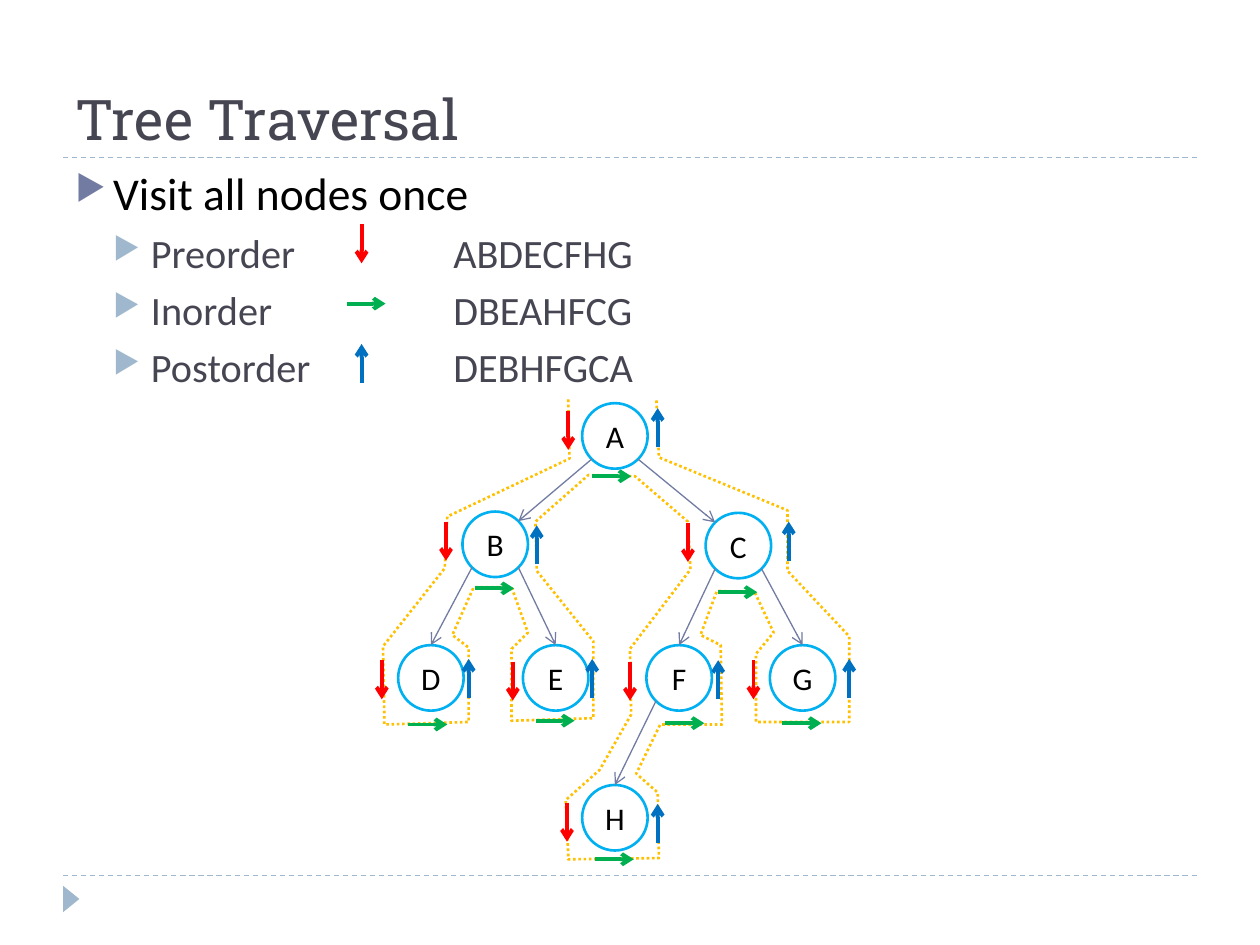
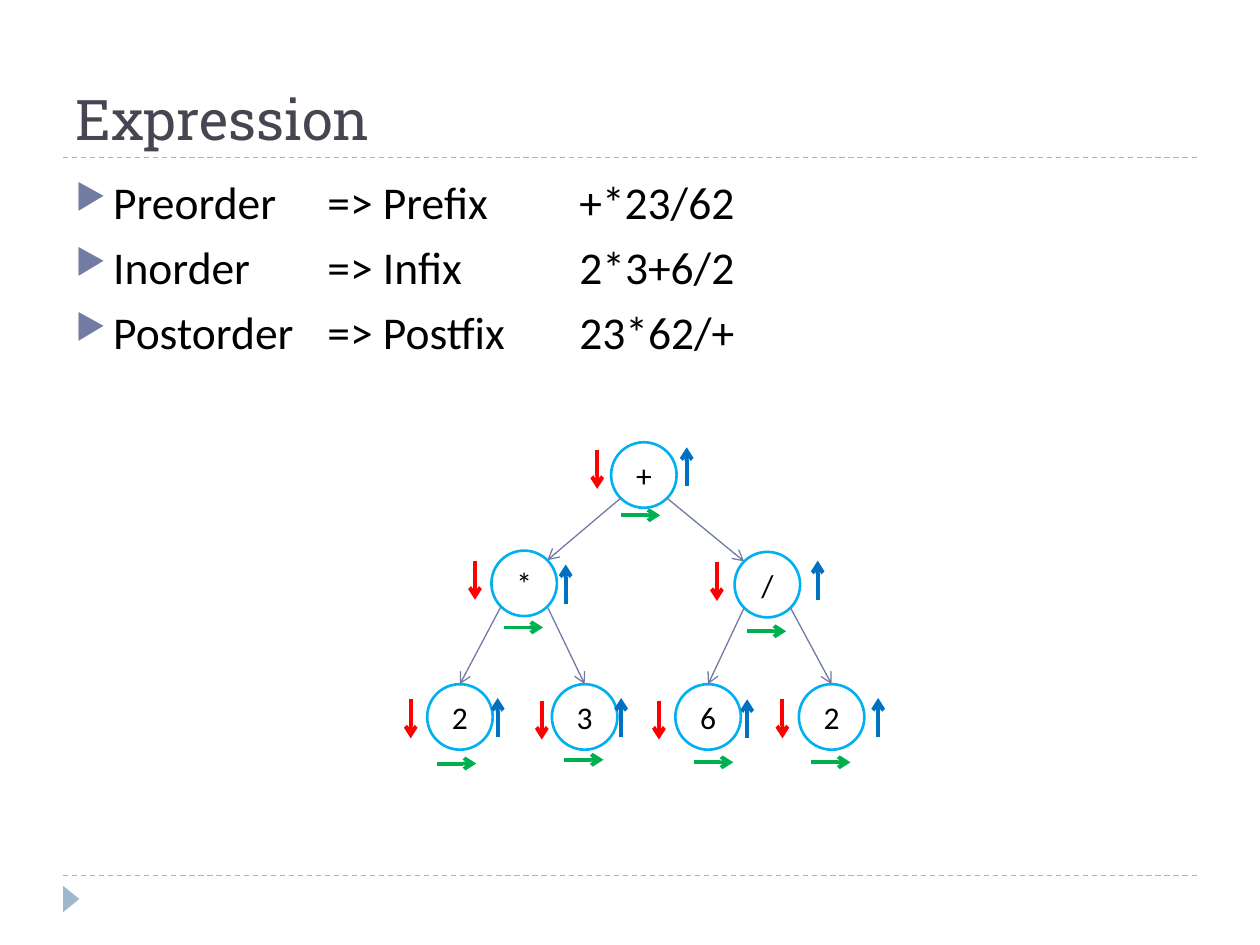
import pptx
import pptx.util
import pptx.dml.color
import pptx.enum.dml
import pptx.enum.shapes
import pptx.enum.text
import pptx.oxml
import pptx.oxml.ns
from lxml import etree

Inches = pptx.util.Inches
Pt = pptx.util.Pt
SHAPE = pptx.enum.shapes.MSO_SHAPE
DASH = pptx.enum.dml.MSO_LINE
ANCHOR = pptx.enum.text.MSO_ANCHOR
ALIGN = pptx.enum.text.PP_ALIGN
qn = pptx.oxml.ns.qn

COLORS = {
    "title": "464653", "text": "000000", "accent": "727CA3", "pale": "9FB8CD",
    "node": "00B0F0", "walk": "FFC000",
    "preorder": "FF0000", "inorder": "00B050", "postorder": "0070C0",
}
BODY_FONT = "Calibri"
TITLE_FONT = "Roboto Slab"

# Outline levels: size, text colour, bullet colour, indent, space before
LEVELS = [
    dict(size=26, color="text", bullet="accent", indent=0.3, before=6),
    dict(size=23, color="title", bullet="pale", indent=0.6, before=5),
]

# Direction in which the walk passes a node on each visit
VISITS = {"preorder": (0, 1), "inorder": (1, 0), "postorder": (0, -1)}
VISIT_LENGTH = 0.31
LEGEND = [(2.87, 1.78), (2.75, 2.41), (2.87, 3.04)]

DIAMETER = 0.52
# Node: top left corner, then where its preorder, inorder, postorder arrows start
TREE = {
    "A": ((4.62, 3.20), [(4.51, 3.26), (4.70, 3.78), (5.22, 3.55)]),
    "B": ((3.67, 4.06), [(3.54, 4.14), (3.77, 4.67), (4.26, 4.48)]),
    "C": ((5.60, 4.07), [(5.46, 4.15), (5.70, 4.70), (6.26, 4.45)]),
    "D": ((3.16, 5.12), [(3.03, 5.24), (3.24, 5.75), (3.72, 5.54)]),
    "E": ((4.15, 5.12), [(4.07, 5.25), (4.25, 5.72), (4.70, 5.54)]),
    "F": ((5.13, 5.12), [(5.00, 5.25), (5.28, 5.74), (5.70, 5.55)]),
    "G": ((6.11, 5.12), [(5.98, 5.24), (6.21, 5.74), (6.74, 5.54)]),
    "H": ((4.62, 6.23), [(4.50, 6.37), (4.72, 6.82), (5.22, 6.69)]),
}
EDGES = ["AB", "BD", "BE", "CF", "CG", "AC", "FH"]

WALK = [
    (4.51, 3.17), (4.52, 3.64), (3.55, 4.10), (3.53, 4.51), (3.04, 5.13),
    (3.05, 5.65), (3.05, 5.75), (3.72, 5.73), (3.72, 5.14), (3.59, 5.04),
    (3.76, 4.66), (4.06, 4.66), (4.19, 5.02), (4.06, 5.15), (4.06, 5.72),
    (4.71, 5.70), (4.71, 5.09), (4.26, 4.53), (4.25, 4.14), (4.67, 3.77),
    (5.04, 3.78), (5.46, 4.14), (5.48, 4.52), (5.00, 5.15), (5.01, 5.67),
    (4.76, 6.11), (4.49, 6.35), (4.51, 6.77), (4.51, 6.82), (5.23, 6.81),
    (5.22, 6.29), (5.05, 6.14), (5.24, 5.75), (5.73, 5.75), (5.72, 5.12),
    (5.56, 5.04), (5.69, 4.69), (5.99, 4.70), (6.14, 5.02), (6.00, 5.19),
    (6.00, 5.73), (6.74, 5.73), (6.74, 5.05), (6.25, 4.53), (6.25, 4.05),
    (5.23, 3.63), (5.21, 3.17),
]

SLIDES = [
    dict(
        title="Tree Traversal", outline_top=1.26,
        outline=[
            (0, "Visit all nodes once"),
            (1, "Preorder\t\tABDECFHG"),
            (1, "Inorder\t\tDBEAHFCG"),
            (1, "Postorder\t\tDEBHFGCA"),
        ],
        labels={name: name for name in TREE}, shift=(0, 0),
        walk=WALK, legend=LEGEND,
    ),
    dict(
        title="Expression", outline_top=1.33,
        outline=[
            (0, "Preorder\t=> Prefix\t+*23/62"),
            (0, "Inorder\t=> Infix\t2*3+6/2"),
            (0, "Postorder\t=> Postfix\t23*62/+"),
        ],
        labels=dict(zip("ABCDEFG", "+*/2362")), shift=(0.23, 0.31),
        walk=[], legend=[],
    ),
]


def rgb(name):
    return pptx.dml.color.RGBColor.from_string(COLORS[name])


def write(paragraph, text, size=18, color="text", font=BODY_FONT, align=None):
    run = paragraph.add_run()
    run.text = text
    run.font.size = Pt(size)
    run.font.name = font
    run.font.color.rgb = rgb(color)
    paragraph.alignment = align


def text_frame(slide, left, top, width, height, anchor=ANCHOR.TOP):
    box = slide.shapes.add_textbox(*map(Inches, (left, top, width, height)))
    box.text_frame.word_wrap = True
    box.text_frame.vertical_anchor = anchor
    return box.text_frame


def add_bullet(paragraph, indent, color):
    props = paragraph._p.get_or_add_pPr()
    props.set("marL", str(Inches(indent)))
    props.set("indent", str(Inches(-0.3)))
    props.set("defTabSz", str(Inches(1)))
    bullet_color = etree.SubElement(props, qn("a:buClr"))
    etree.SubElement(bullet_color, qn("a:srgbClr"), val=COLORS[color])
    etree.SubElement(props, qn("a:buSzPct"), val="76000")
    etree.SubElement(props, qn("a:buChar"), char="▶")


def draw_line(slide, start, end, color, width=0.75, dash=None, arrow=False):
    line = slide.shapes.add_connector(
        pptx.enum.shapes.MSO_CONNECTOR.STRAIGHT, *map(Inches, (*start, *end)))
    line.line.color.rgb = rgb(color)
    line.line.width = Pt(width)
    if dash:
        line.line.dash_style = dash
    if arrow:
        etree.SubElement(line.line._get_or_add_ln(), qn("a:tailEnd"), type="arrow")
    etree.SubElement(line._element.spPr, qn("a:effectLst"))


def draw_frame(slide, title):
    """Draw the rules, corner mark and title that every slide has."""
    for y in (6.95, 1.25):
        draw_line(slide, (0.5, y), (9.5, y), "pale", dash=DASH.DASH)
    mark = slide.shapes.add_shape(
        SHAPE.ISOSCELES_TRIANGLE, *map(Inches, (0.46, 7.07, 0.21, 0.13)))
    mark.rotation = 90
    mark.shadow.inherit = False
    mark.fill.solid()
    mark.fill.fore_color.rgb = rgb("pale")
    mark.line.fill.background()
    heading = text_frame(slide, 0.5, 0.17, 9, 1.08, ANCHOR.BOTTOM)
    write(heading.paragraphs[0], title, size=32, color="title", font=TITLE_FONT)


def draw_outline(slide, top, items):
    frame = text_frame(slide, 0.5, top, 9, 5.4)
    for index, (level, text) in enumerate(items):
        paragraph = frame.add_paragraph() if index else frame.paragraphs[0]
        style = LEVELS[level]
        paragraph.level = level
        paragraph.space_before = Pt(style["before"])
        add_bullet(paragraph, style["indent"], style["bullet"])
        write(paragraph, text, size=style["size"], color=style["color"])


def draw_node(slide, corner, label):
    node = slide.shapes.add_shape(
        SHAPE.OVAL, *map(Inches, (*corner, DIAMETER, DIAMETER)))
    node.shadow.inherit = False
    node.fill.background()
    node.line.color.rgb = rgb("node")
    node.line.width = Pt(1.5)
    frame = node.text_frame
    frame.margin_left = frame.margin_right = 0
    frame.margin_top = frame.margin_bottom = 0
    frame.vertical_anchor = ANCHOR.MIDDLE
    write(frame.paragraphs[0], label, align=ALIGN.CENTER)


def draw_edge(slide, parent, child, diagonal):
    """Join a parent's lower side to its child's top, or to its upper side if diagonal."""
    radius = DIAMETER / 2
    reach = radius * 0.5 ** 0.5
    side = 1 if child[0] > parent[0] else -1
    start = (parent[0] + radius + side * reach, parent[1] + radius + reach)
    if diagonal:
        end = (child[0] + radius - side * reach, child[1] + radius - reach)
    else:
        end = (child[0] + radius, child[1])
    draw_line(slide, start, end, "accent", arrow=True)


def draw_walk(slide, points):
    corners = [tuple(map(Inches, point)) for point in points]
    builder = slide.shapes.build_freeform(*corners[0])
    builder.add_line_segments(corners[1:], close=False)
    walk = builder.convert_to_shape()
    walk.shadow.inherit = False
    walk.fill.background()
    walk.line.color.rgb = rgb("walk")
    walk.line.width = Pt(1.5)
    walk.line.dash_style = DASH.ROUND_DOT


def draw_visits(slide, starts):
    for (order, (dx, dy)), (x, y) in zip(VISITS.items(), starts):
        end = (x + dx * VISIT_LENGTH, y + dy * VISIT_LENGTH)
        draw_line(slide, (x, y), end, order, width=2.25, arrow=True)


def draw_tree(slide, labels, shift, walk):
    def moved(point):
        return point[0] + shift[0], point[1] + shift[1]

    corners = {name: moved(TREE[name][0]) for name in labels}
    for name, label in labels.items():
        draw_node(slide, corners[name], label)
    for parent, child in EDGES:
        if child in labels:
            draw_edge(slide, corners[parent], corners[child], diagonal=parent == "A")
    if walk:
        draw_walk(slide, walk)
    for name in labels:
        draw_visits(slide, map(moved, TREE[name][1]))


def main():
    deck = pptx.Presentation()
    deck.slide_width = Inches(10)
    deck.slide_height = Inches(7.5)
    for content in SLIDES:
        slide = deck.slides.add_slide(deck.slide_layouts[6])
        draw_frame(slide, content["title"])
        draw_outline(slide, content["outline_top"], content["outline"])
        draw_tree(slide, content["labels"], content["shift"], content["walk"])
        draw_visits(slide, content["legend"])
    deck.save("out.pptx")


if __name__ == "__main__":
    main()
